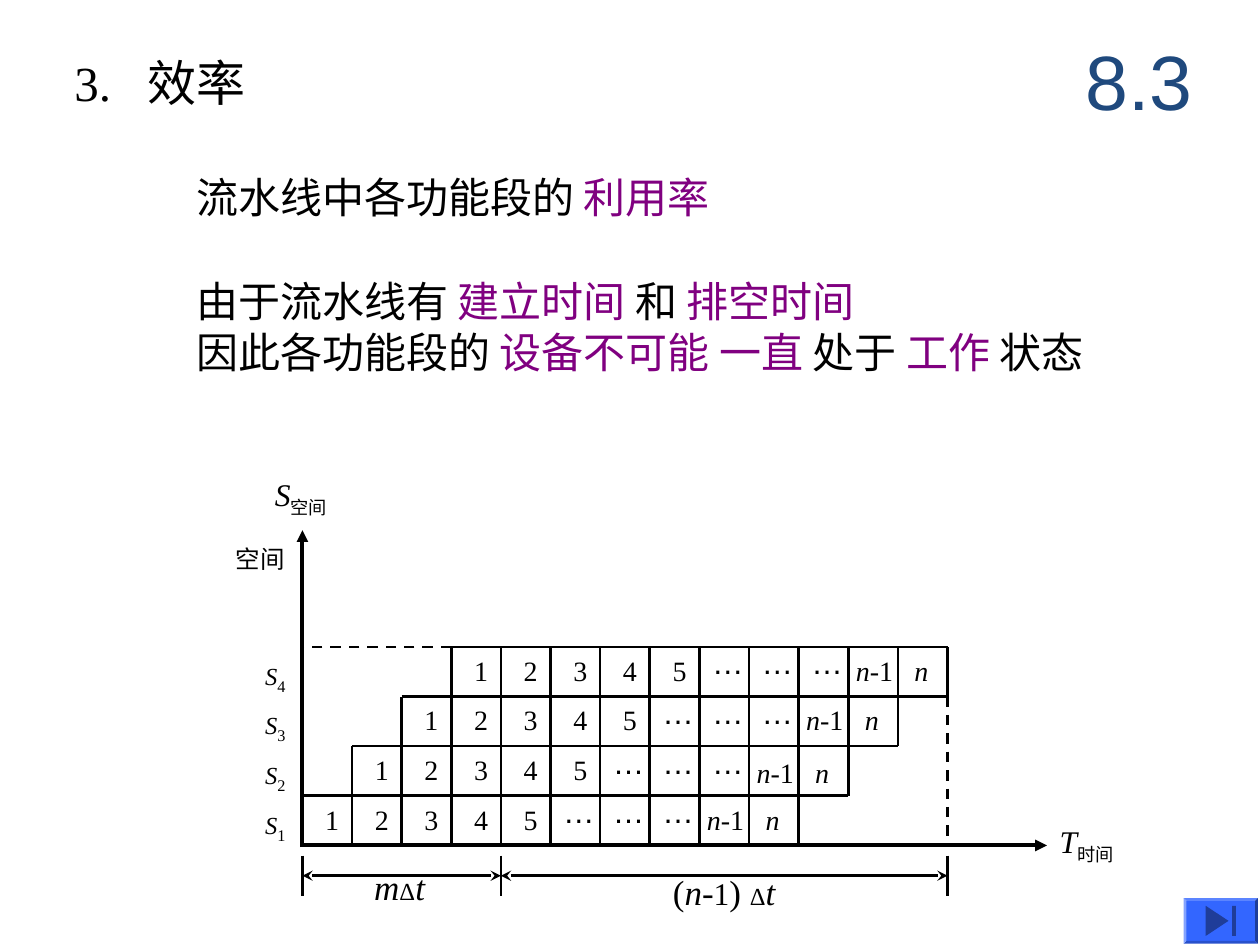
from lxml.etree import SubElement
from pptx import Presentation
from pptx.dml.color import RGBColor
from pptx.enum.dml import MSO_LINE
from pptx.enum.shapes import MSO_CONNECTOR, MSO_SHAPE
from pptx.enum.text import MSO_ANCHOR, PP_ALIGN
from pptx.oxml.ns import qn
from pptx.util import Pt

THEME = {
    "ink": RGBColor.from_string("000000"),
    "key": RGBColor.from_string("800080"),
    "navy": RGBColor.from_string("1F497D"),
    "blue": RGBColor.from_string("3366FF"),
    "dark": RGBColor.from_string("1F3D99"),
    "serif": "Times New Roman", "sans": "Arial",
    "mark": 44, "title": 28, "body": 24, "span": 20,
    "axis": 18, "cell": 16, "note": 14,
    "thin": 1.5, "thick": 2.25,
}

# A run is a string, or a string with its own format
KEY, ITAL, SUB = {"color": "key"}, {"italic": True}, {"sub": True}
N = ("n", ITAL)
DELTA = ("Δ", {"size": "note"})
BODY = [
    ["由于流水线有 ", ("建立时间", KEY), " 和 ", ("排空时间", KEY)],
    ["因此各功能段的 ", ("设备不可能 一直", KEY), " 处于 ", ("工作", KEY), " 状态"],
]
USAGE = [["流水线中各功能段的 ", ("利用率", KEY)]]
TITLE = [["3.\t效率"]]
AXES = [  # left, top, runs, size
    (605.5, 470, [("T", ITAL), ("时间", SUB)], "axis"),
    (157, 271.5, [("S", ITAL), ("空间", SUB)], "axis"),
    (134.6, 311, ["空间"], "note"),
]
SPANS = [  # left, top, runs
    (213.8, 494.6, [("m", ITAL), DELTA, ("t", ITAL)]),
    (384.5, 497.5, ["(", N, "-", ("1", {"size": "axis"}), ") ", DELTA, ("t", ITAL)]),
]
TASKS = ["1", "2", "3", "4", "5", "…", "…", "…", "n-1", "n"]
STAGES = 4

LEFT, BASE, STEP = 172.8, 483.1, 28.36
COLS = len(TASKS) + STAGES - 1

deck = Presentation()
deck.slide_width, deck.slide_height = Pt(720), Pt(540)
slide = deck.slides.add_slide(deck.slide_layouts[6])


def col(i):
    return LEFT + i * STEP


def row(i):
    return BASE - i * STEP


def style(font, size=None, color=None, italic=None):
    if size:
        font.size = Pt(THEME[size])
    if color:
        font.color.rgb = THEME[color]
    if italic:
        font.italic = True


def text(x, y, w, h, lines, size, face="serif", color="ink",
         anchor=MSO_ANCHOR.TOP, align=PP_ALIGN.LEFT, tab=None):
    """Place lines of runs in a box without margins."""
    frame = slide.shapes.add_textbox(Pt(x), Pt(y), Pt(w), Pt(h)).text_frame
    frame.word_wrap = True
    frame.vertical_anchor = anchor
    frame.margin_left = frame.margin_right = 0
    frame.margin_top = frame.margin_bottom = 0
    for i, line in enumerate(lines):
        para = frame.add_paragraph() if i else frame.paragraphs[0]
        para.alignment = align
        if tab:
            tabs = SubElement(para._p.get_or_add_pPr(), qn("a:tabLst"))
            SubElement(tabs, qn("a:tab"), pos=str(Pt(tab)), algn="l")
        para.font.name = THEME[face]
        style(para.font, size, color)
        for part in line:
            words, form = (part, {}) if isinstance(part, str) else part
            run = para.add_run()
            run.text = words
            style(run.font, **{k: v for k, v in form.items() if k != "sub"})
            if form.get("sub"):
                run._r.get_or_add_rPr().set("baseline", "-25000")


def rule(x1, y1, x2, y2, width="thin", dash=False, head=None, tail=None):
    line = slide.shapes.add_connector(
        MSO_CONNECTOR.STRAIGHT, Pt(x1), Pt(y1), Pt(x2), Pt(y2))
    line.line.color.rgb = THEME["ink"]
    line.line.width = Pt(THEME[width])
    if dash:
        line.line.dash_style = MSO_LINE.DASH
    for tag, kind in (("a:headEnd", head), ("a:tailEnd", tail)):
        if kind:
            SubElement(line.line._get_or_add_ln(), qn(tag), type=kind)
    SubElement(line._element.spPr, qn("a:effectLst"))


def paint(shape, color):
    shape.shadow.inherit = False
    shape.fill.solid()
    shape.fill.fore_color.rgb = THEME[color]
    shape.line.fill.background()


def heads():
    text(42.5, 26, 186, 42, TITLE, "title", anchor=MSO_ANCHOR.MIDDLE, tab=42)
    text(606, 12, 90, 67, [["8.3"]], "mark", "sans", "navy",
         MSO_ANCHOR.MIDDLE, PP_ALIGN.CENTER)
    text(112.3, 98, 590, 34, USAGE, "body")
    text(112.3, 157.7, 558, 70, BODY, "body")


def grid():
    rule(LEFT, BASE, 598.3, BASE, "thick", tail="triangle")
    rule(LEFT, BASE + 1, LEFT, 303, "thick", tail="triangle")
    for i in range(1, STAGES + 1):
        rule(col(i - 1), row(i), col(min(i + len(TASKS), COLS)), row(i))
    for i in range(1, COLS + 1):
        rule(col(i), row(max(0, i - len(TASKS))), col(i), row(min(STAGES, i + 1)))
    rule(col(STAGES - 1), row(STAGES), LEFT, row(STAGES), dash=True)
    rule(col(COLS), row(STAGES - 1), col(COLS), BASE, dash=True)


def cells():
    forms = {  # runs, shift right, shift down, face, size
        "…": (["…"], 7.2, -2, "sans", "axis"),
        "n-1": ([N, "-1"], 4.3, 3.6, "serif", "cell"),
        "n": ([N], 9.4, 3.6, "serif", "cell"),
    }
    for stage in range(STAGES):
        top = row(stage + 1)
        name = [("S", {"size": "note", "italic": True}), (str(stage + 1), SUB)]
        text(151.5, top + 6, 30, 22, [name], "cell")
        for i, task in enumerate(TASKS):
            runs, dx, dy, face, size = forms.get(
                task, ([task], 13, 3.6, "serif", "cell"))
            if stage == 1 and task.startswith("n"):
                dy += 2
            text(col(stage + i) + dx, top + dy, 40, 22, [runs], size, face)


def spans():
    stops = [col(0), col(STAGES), col(COLS)]
    for x in stops:
        rule(x, 489, x, 512)
    for a, b in zip(stops, stops[1:]):
        rule(a, 500.4, b, 500.4, head="stealth", tail="stealth")
    for x, y, runs in SPANS:
        text(x, y, 95, 25, [runs], "span")
    for x, y, runs, size in AXES:
        text(x, y, 60, 25, [runs], size)


def button():
    box = slide.shapes.add_shape(
        MSO_SHAPE.BEVEL, Pt(676.4), Pt(513.2), Pt(42.4), Pt(26))
    box.adjustments[0] = 0.06
    paint(box, "blue")
    play = slide.shapes.build_freeform(Pt(689), Pt(517.6))
    play.add_line_segments([(Pt(702), Pt(526.2)), (Pt(689), Pt(534.8))])
    paint(play.convert_to_shape(), "dark")
    paint(slide.shapes.add_shape(
        MSO_SHAPE.RECTANGLE, Pt(704), Pt(517.6), Pt(2.3), Pt(17.2)), "dark")


heads()
grid()
cells()
spans()
button()
deck.save("out.pptx")
